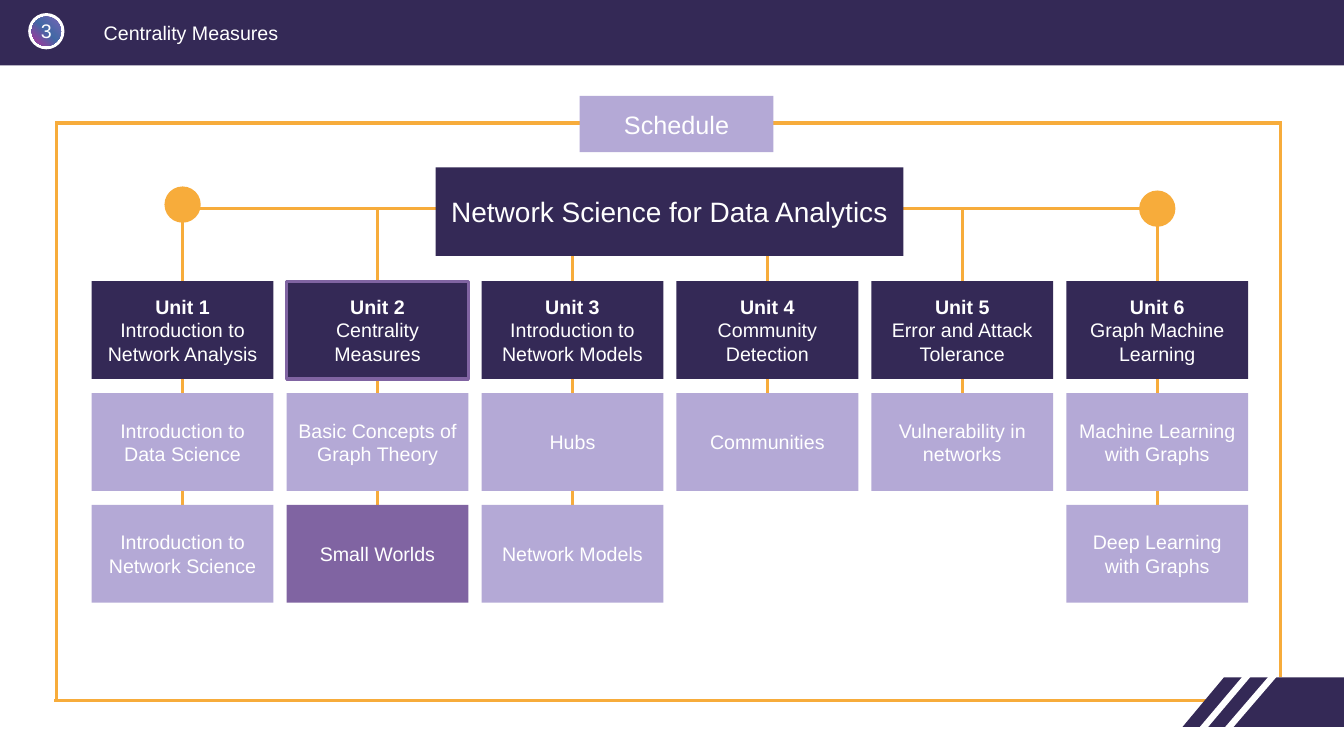
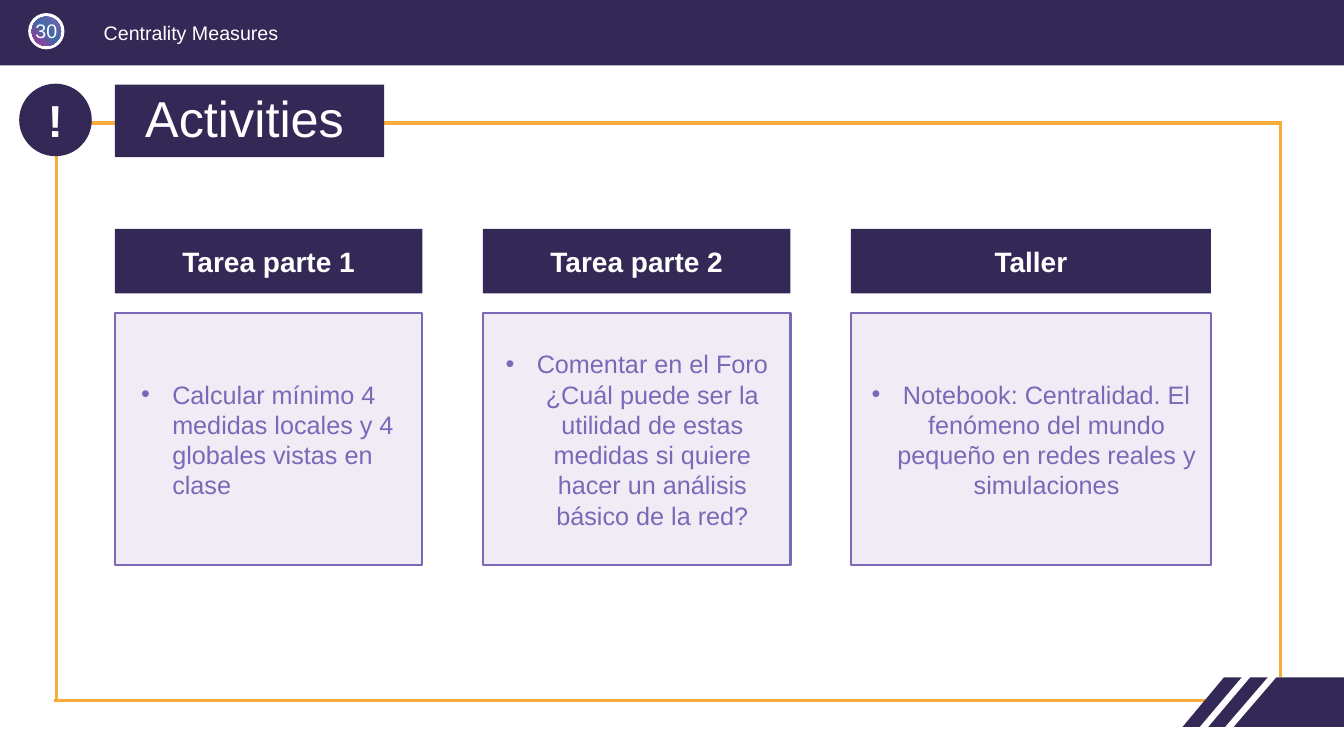
from copy import deepcopy
from dataclasses import dataclass

from lxml.etree import SubElement
from pptx import Presentation
from pptx.dml.color import RGBColor
from pptx.enum.shapes import MSO_CONNECTOR as Connector, MSO_SHAPE as Shape
from pptx.enum.text import MSO_ANCHOR as Anchor, MSO_AUTO_SIZE as AutoSize, PP_ALIGN as Align
from pptx.oxml.ns import qn
from pptx.util import Inches, Pt


@dataclass(frozen=True)
class Theme:
    font: str = "Arial"
    dark: str = "342956"
    lilac: str = "B4A9D6"
    accent: str = "8064A2"
    violet: str = "7B68B7"
    pale: str = "EFECF6"
    orange: str = "F7AC3B"
    white: str = "FFFFFF"
    badge: tuple = ((0, "7864B5"), (0.49, "4269A5"), (1, "B2329A"))
    small: int = 14
    body: int = 18
    heading: int = 20
    symbol: int = 32
    title: int = 36
    rule: float = 2.25


T = Theme()
WIDTH, HEIGHT = 13.33, 7.5
FRAME_LEFT, FRAME_TOP, FRAME_RIGHT, FRAME_BOTTOM = 0.56, 1.22, 12.7, 6.95

UNITS = [
    ("Unit 1\nIntroduction to Network Analysis",
     "Introduction to\nData Science", "Introduction to Network Science"),
    ("Unit 2\nCentrality\nMeasures", "Basic Concepts of Graph Theory", "Small Worlds"),
    ("Unit 3\nIntroduction to Network Models", "Hubs", "Network Models"),
    ("Unit 4\nCommunity Detection", "Communities"),
    ("Unit 5\nError and Attack Tolerance", "Vulnerability in networks"),
    ("Unit 6\nGraph Machine Learning",
     "Machine Learning with Graphs", "Deep Learning with Graphs"),
]
CURRENT_UNIT, CURRENT_TOPIC = 1, "Small Worlds"

ACTIVITIES = [
    ("Tarea parte 1", 3.05, Align.LEFT, 0.47,
     "Calcular mínimo 4 medidas locales y 4 globales vistas en clase"),
    ("Tarea parte 2", 3.05, Align.CENTER, 0.31,
     "Comentar en el Foro ¿Cuál puede ser la utilidad de estas medidas "
     "si quiere hacer un análisis básico de la red?"),
    ("Taller", 3.57, Align.CENTER, 0.31,
     "Notebook: Centralidad. El fenómeno del mundo pequeño "
     "en redes reales y simulaciones"),
]


def rgb(color):
    return RGBColor.from_string(color)


def inches(*lengths):
    return [Inches(length) for length in lengths]


def write(shape, text, size=T.small, color=T.white, bold_lines=0,
          align=Align.CENTER, anchor=Anchor.MIDDLE):
    """Fill a shape with one paragraph per line; the first bold_lines are bold."""
    tf = shape.text_frame
    tf.word_wrap, tf.auto_size, tf.vertical_anchor = True, AutoSize.NONE, anchor
    tf.text = text
    for i, p in enumerate(tf.paragraphs):
        p.alignment = align
        font = p.runs[0].font
        font.name, font.size, font.bold = T.font, Pt(size), i < bold_lines
        font.color.rgb = rgb(color)


def paint(shape, fill, line=None, weight=T.rule):
    shape.fill.solid()
    shape.fill.fore_color.rgb = rgb(fill)
    if line:
        shape.line.color.rgb = rgb(line)
        shape.line.width = Pt(weight)
    else:
        shape.line.fill.background()


def box(s, at, fill, text="", kind=Shape.RECTANGLE, line=None, weight=T.rule, **fmt):
    sp = s.shapes.add_shape(kind, *inches(*at))
    sp.shadow.inherit = False
    paint(sp, fill, line, weight)
    if text:
        write(sp, text, **fmt)
    return sp


def dot(s, x, y, diameter, fill, text="", **fmt):
    """Draw a circle centred on x, y."""
    at = (x - diameter / 2, y - diameter / 2, diameter, diameter)
    return box(s, at, fill, text, Shape.OVAL, **fmt)


def label(s, at, text, margins=True, **fmt):
    sp = s.shapes.add_textbox(*inches(*at))
    write(sp, text, anchor=Anchor.TOP, **fmt)
    if not margins:
        tf = sp.text_frame
        tf.margin_left = tf.margin_right = tf.margin_top = tf.margin_bottom = 0


def rule(s, start, end, color=T.orange, weight=T.rule):
    line = s.shapes.add_connector(Connector.STRAIGHT, *inches(*start, *end))
    line.line.color.rgb = rgb(color)
    line.line.width = Pt(weight)
    SubElement(line._element.spPr, qn("a:effectLst"))


def indent(p, left, hanging=0):
    pPr = p._p.get_or_add_pPr()
    pPr.set("marL", str(Inches(left)))
    pPr.set("indent", str(-Inches(hanging)))
    return pPr


def bullet(p, left, color, hanging=0.31):
    pPr = indent(p, left, hanging)
    SubElement(SubElement(pPr, qn("a:buClr")), qn("a:srgbClr")).set("val", color)
    SubElement(pPr, qn("a:buFont")).set("typeface", T.font)
    SubElement(pPr, qn("a:buChar")).set("char", "•")


def gradient(shape, stops, angle):
    """Give a shape a gradient of three stops."""
    shape.fill.gradient()
    gs_list = shape._element.spPr.find(".//" + qn("a:gsLst"))
    gs_list.insert(1, deepcopy(gs_list[0]))
    for stop, (position, color) in zip(shape.fill.gradient_stops, stops):
        stop.position, stop.color.rgb = position, rgb(color)
    shape.fill.gradient_angle = angle


def title(s, at, text, fill, **fmt):
    sp = s.shapes.title
    sp.left, sp.top, sp.width, sp.height = inches(*at)
    paint(sp, fill)
    write(sp, text, **fmt)
    return sp.text_frame.paragraphs[0]


def draw_frame(s):
    box(s, (0, -0.03, WIDTH, 0.68), T.dark)
    dot(s, 0.46, 0.31, 0.36, T.white)
    gradient(dot(s, 0.46, 0.31, 0.29, T.violet), T.badge, 225)
    label(s, (0.93, 0.16, 5.61, 0.3), "Centrality Measures", align=Align.LEFT)

    rule(s, (FRAME_RIGHT, 6.72), (FRAME_RIGHT, FRAME_TOP))
    rule(s, (FRAME_LEFT, FRAME_BOTTOM), (FRAME_LEFT, FRAME_TOP - 0.02))
    rule(s, (FRAME_LEFT - 0.02, FRAME_BOTTOM), (12.1, FRAME_BOTTOM))
    rule(s, (FRAME_LEFT, FRAME_TOP), (FRAME_RIGHT + 0.02, FRAME_TOP))

    outline = [(12.14, 6.72), (WIDTH, 6.72), (WIDTH, 7.21), (11.73, 7.21)]
    start, *rest = [inches(*point) for point in outline]
    builder = s.shapes.build_freeform(*start)
    builder.add_line_segments(rest, close=True)
    corner = builder.convert_to_shape()
    corner.shadow.inherit = False
    paint(corner, T.dark)
    for foot, head in (((11.85, 7.32), (12.45, 6.61)), ((12.1, 7.32), (12.65, 6.68))):
        rule(s, foot, head, T.white, 4.5)


def share_frame(s, layout):
    """Draw the frame with the help of a slide and move it to the layout."""
    for ph in list(layout.placeholders)[1:]:
        ph._element.getparent().remove(ph._element)
    own = len(s.shapes)
    draw_frame(s)
    for sp in list(s.shapes)[own:]:
        layout.shapes._spTree.append(sp._element)


def page_number(s, number):
    label(s, (0.28, 0.19, 0.36, 0.24), str(number), margins=False)


def schedule(s):
    page_number(s, 3)
    title(s, (5.75, 0.95, 1.92, 0.56), "Schedule", T.lilac, size=T.body)

    left, right, col_gap = 0.91, 12.38, 0.13
    col_pitch = (right - left + col_gap) / len(UNITS)
    width = col_pitch - col_gap
    top, height, row_pitch = 2.79, 0.97, 1.11
    trunk = 2.07
    centers = [left + i * col_pitch + width / 2 for i in range(len(UNITS))]

    rule(s, (centers[0], trunk), (centers[-1], trunk))
    for center, boxes in zip(centers, UNITS):
        rule(s, (center, trunk), (center, top + (len(boxes) - 1) * row_pitch + height / 2))
    dot(s, centers[0], trunk - 0.04, 0.36, T.orange)
    dot(s, centers[-1], trunk, 0.36, T.orange)
    box(s, (4.32, 1.66, 4.64, 0.88), T.dark, "Network Science for Data Analytics",
        size=T.heading)

    for col, (center, (unit, *topics)) in enumerate(zip(centers, UNITS)):
        x = center - width / 2
        box(s, (x, top, width, height), T.dark, unit, bold_lines=1,
            line=T.accent if col == CURRENT_UNIT else None)
        for row, topic in enumerate(topics, 1):
            fill = T.accent if topic == CURRENT_TOPIC else T.lilac
            box(s, (x, top + row * row_pitch, width, height), fill, topic)


def activities(s):
    page_number(s, 30)
    p = title(s, (1.14, 0.84, 2.67, 0.72), "Activities", T.dark,
              size=T.title, align=Align.LEFT)
    p.line_spacing = 0.9
    indent(p, 0.2)
    dot(s, 0.55, 1.19, 0.72, T.dark, "!", size=T.symbol, bold_lines=1)

    x, gap = 1.14, 0.6
    for heading, width, align, left, task in ACTIVITIES:
        box(s, (x, 2.27, width, 0.64), T.dark, heading, size=T.heading, bold_lines=1)
        card = box(s, (x, 3.11, width, 2.5), T.pale, task, line=T.violet, weight=1.5,
                   size=T.body, color=T.violet, align=align)
        bullet(card.text_frame.paragraphs[0], left, T.violet)
        x += width + gap


def main():
    prs = Presentation()
    prs.slide_width, prs.slide_height = inches(WIDTH, HEIGHT)
    layout = prs.slide_layouts[5]
    slides = [prs.slides.add_slide(layout) for _ in range(2)]
    share_frame(slides[0], layout)
    for s, fill_slide in zip(slides, (schedule, activities)):
        fill_slide(s)
    prs.save("out.pptx")


if __name__ == "__main__":
    main()
